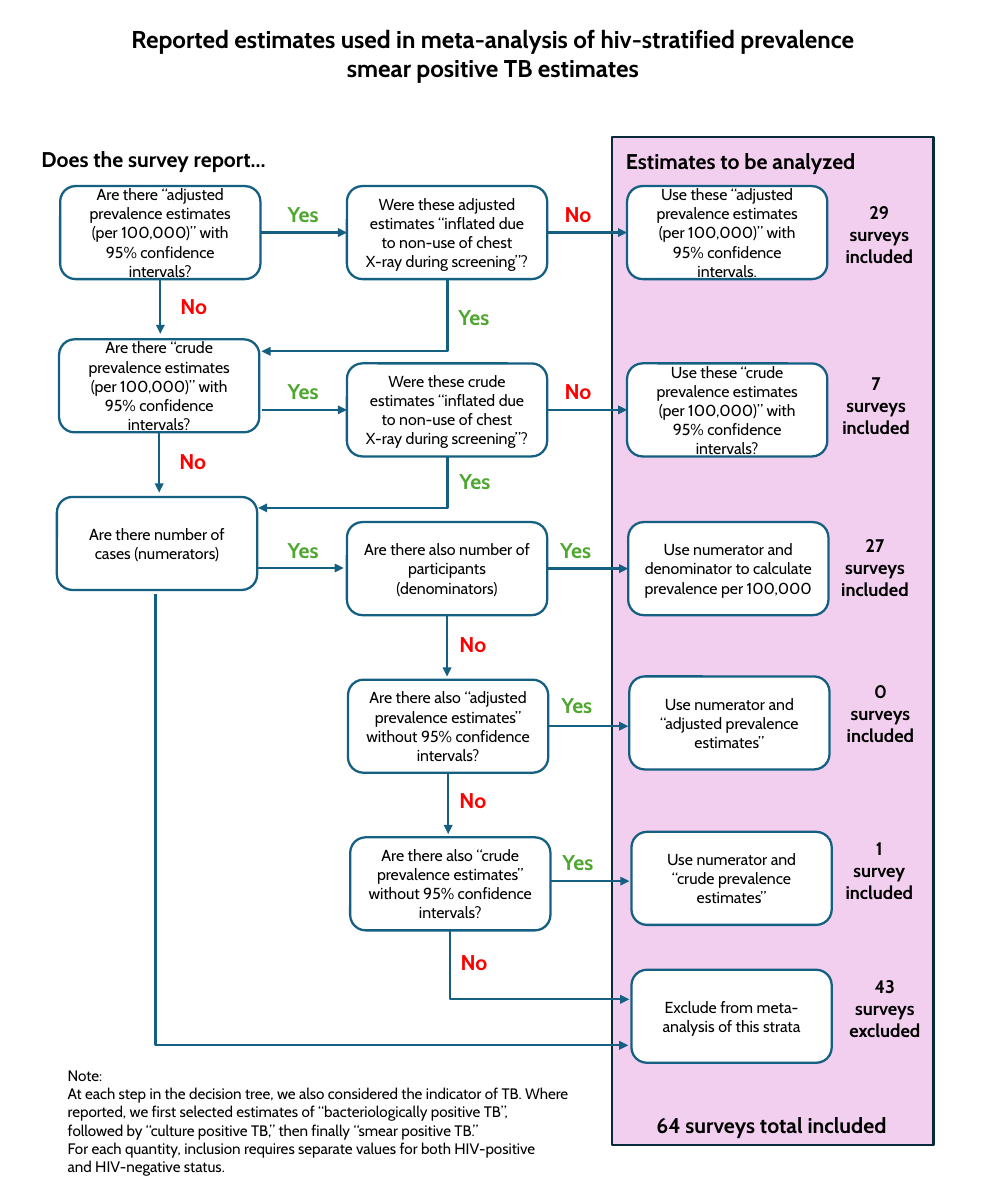
from lxml import etree
from pptx import Presentation
from pptx.dml.color import RGBColor
from pptx.enum import shapes, text
from pptx.oxml import ns
from pptx.util import Inches, Pt

FONT = "Cabin"
BLACK, WHITE, BLUE, NAVY, PINK = "000000", "FFFFFF", "156082", "092A39", "F2CFEE"
ANSWER_COLORS = {"Yes": "4EA72E", "No": "FF0000"}
ANSWER_WIDTHS = {"Yes": 0.55, "No": 0.49}
BOX_WIDTH, BOX_HEIGHT = 1.83, 0.85
TOP, LEFT, BOTTOM, RIGHT = range(4)
CENTER, START = text.PP_ALIGN.CENTER, text.PP_ALIGN.LEFT

PANEL = (5.59, 1.25, 2.94, 9.21)

# name: (left, top, wording)
BOXES = {
    "adjusted": (0.55, 1.7, "Are there “adjusted prevalence estimates (per 100,000)” with 95% confidence intervals?"),
    "adjusted inflated": (3.17, 1.7, "Were these adjusted estimates “inflated due to non-use of chest\vX-ray during screening”?"),
    "use adjusted": (5.73, 1.7, "Use these “adjusted prevalence estimates (per 100,000)” with 95% confidence intervals."),
    "crude": (0.54, 3.1, "Are there “crude prevalence estimates (per 100,000)” with 95% confidence intervals?"),
    "crude inflated": (3.17, 3.32, "Were these crude estimates “inflated due to non-use of chest\vX-ray during screening”?"),
    "use crude": (5.73, 3.32, "Use these “crude prevalence estimates (per 100,000)” with 95% confidence intervals?"),
    "numerators": (0.52, 4.54, "Are there number of cases (numerators)"),
    "denominators": (3.17, 4.77, "Are there also number of participants (denominators)"),
    "calculate": (5.74, 4.77, "Use numerator and denominator to calculate prevalence per 100,000"),
    "adjusted no interval": (3.18, 6.21, "Are there also “adjusted prevalence estimates” without 95% confidence intervals?"),
    "numerator adjusted": (5.75, 6.18, "Use numerator and\v“adjusted prevalence estimates”"),
    "crude no interval": (3.2, 7.65, "Are there also “crude prevalence estimates” without 95% confidence intervals?"),
    "numerator crude": (5.77, 7.6, "Use numerator and\v“crude prevalence estimates”"),
    "exclude": (5.77, 8.86, "Exclude from meta-analysis of this strata"),
}

# Each end is (box, side) or (x, y); None takes the value of the other end.
STRAIGHT_ARROWS = [
    (("adjusted", RIGHT), ("adjusted inflated", LEFT)),
    (("adjusted inflated", RIGHT), ("use adjusted", LEFT)),
    (("adjusted", BOTTOM), (None, 3.05)),
    ((2.39, None), ("crude inflated", LEFT)),
    (("crude inflated", RIGHT), ("use crude", LEFT)),
    (("crude", BOTTOM), (None, 4.5)),
    ((2.35, 5.19), (3.14, 5.19)),
    (("denominators", RIGHT), ("calculate", LEFT)),
    (("denominators", BOTTOM), (None, 6.18)),
    (("adjusted no interval", RIGHT), (5.74, None)),
    (("adjusted no interval", BOTTOM), (None, 7.62)),
    ((5.03, 8.05), (5.75, 8.05)),
]

# Down first, then sideways
ELBOW_ARROWS = [
    ((4.09, 2.55), (2.39, 3.21)),
    ((4.09, 4.17), (2.36, 4.64)),
    ((4.11, 8.5), (5.75, 9.13)),
    ((1.42, 5.43), (5.74, 9.55)),
]

ANSWERS = [
    ("Yes", 2.53, 1.79), ("No", 5.06, 1.79), ("No", 1.55, 2.63), ("Yes", 4.09, 2.73),
    ("Yes", 2.53, 3.41), ("No", 5.06, 3.41), ("No", 1.54, 4.05), ("Yes", 4.1, 4.23),
    ("Yes", 2.53, 4.86), ("Yes", 5.02, 4.86), ("No", 4.1, 5.72), ("Yes", 5.03, 6.28),
    ("No", 4.1, 7.14), ("Yes", 5.04, 7.71), ("No", 4.11, 8.62),
]

# (left, top, width, wording)
COUNTS = [
    (7.6, 1.79, 0.87, "29\nsurveys\vincluded"),
    (7.57, 3.35, 0.87, "7\nsurveys\vincluded"),
    (7.56, 4.83, 0.87, "27\nsurveys\vincluded"),
    (7.61, 6.17, 0.87, "0\nsurveys\vincluded"),
    (7.6, 7.6, 0.87, "1\nsurvey\vincluded"),
    (7.62, 8.86, 0.93, "43\nsurveys\vexcluded"),
]

# (place, wording, size, bold, alignment)
TEXTS = [
    ((0.49, 0.17, 8.03, 0.64), "Reported estimates used in meta-analysis of hiv-stratified prevalence\n"
     "smear positive TB estimates", 16, True, CENTER),
    ((0.28, 1.29, 2.37, 0.34), "Does the survey report…", 14, True, START),
    ((5.62, 1.31, 2.9, 0.34), "Estimates to be analyzed", 14, True, START),
    ((5.6, 10.11, 2.9, 0.34), "64 surveys total included", 14, True, CENTER),
    ((0.52, 9.69, 5.25, 1.11), "Note:\n"
     "At each step in the decision tree, we also considered the indicator of TB. Where reported, "
     "we first selected estimates of “bacteriologically positive TB”,\n"
     "followed by “culture positive TB,” then finally “smear positive TB.”\n"
     "For each quantity, inclusion requires separate values for both HIV-positive\n"
     "and HIV-negative status.", 10, False, START),
]


def color(hex_text):
    return RGBColor.from_string(hex_text)


def write(shape, wording, size, bold, alignment, hex_text=BLACK):
    shape.text_frame.text = wording
    for paragraph in shape.text_frame.paragraphs:
        paragraph.alignment = alignment
        for run in paragraph.runs:
            run.font.name, run.font.size, run.font.bold = FONT, Pt(size), bold
            run.font.color.rgb = color(hex_text)


def add_text(slide, place, wording, size, bold, alignment, hex_text=BLACK, wrap=True):
    box = slide.shapes.add_textbox(*map(Inches, place))
    write(box, wording, size, bold, alignment, hex_text)
    box.text_frame.word_wrap = wrap
    box.text_frame.auto_size = text.MSO_AUTO_SIZE.SHAPE_TO_FIT_TEXT


def add_panel(slide, kind, place, fill, line):
    shape = slide.shapes.add_shape(kind, *map(Inches, place))
    shape.shadow.inherit = False
    shape.fill.solid()
    shape.fill.fore_color.rgb = color(fill)
    shape.line.color.rgb = color(line)
    shape.line.width = Pt(1.5)
    return shape


def add_arrow(slide, kind, start, end):
    arrow = slide.shapes.add_connector(kind, *map(Inches, (*start, *end)))
    arrow.line.color.rgb = color(BLUE)
    arrow.line.width = Pt(1.5)
    etree.SubElement(arrow.line._get_or_add_ln(), ns.qn("a:tailEnd"), type="triangle")
    properties = arrow._element.spPr
    etree.SubElement(properties, ns.qn("a:effectLst"))
    if kind == shapes.MSO_CONNECTOR.ELBOW:
        guides = properties.find(ns.qn("a:prstGeom")).get_or_add_avLst()
        etree.SubElement(guides, ns.qn("a:gd"), name="adj1", fmla="val 0")
    return arrow


def locate(end):
    """Turn a (box, side) end into a point; leave a point as it is."""
    if end[0] not in BOXES:
        return end
    left, top, _ = BOXES[end[0]]
    across, down = {TOP: (0.5, 0), LEFT: (0, 0.5), BOTTOM: (0.5, 1), RIGHT: (1, 0.5)}[end[1]]
    return left + across * BOX_WIDTH, top + down * BOX_HEIGHT


def fill_gaps(point, other):
    return [b if a is None else a for a, b in zip(point, other)]


def main():
    presentation = Presentation()
    presentation.slide_width, presentation.slide_height = Inches(9), Inches(11)
    slide = presentation.slides.add_slide(presentation.slide_layouts[6])

    add_panel(slide, shapes.MSO_SHAPE.RECTANGLE, PANEL, PINK, NAVY)
    drawn = {}
    for name, (left, top, wording) in BOXES.items():
        place = (left, top, BOX_WIDTH, BOX_HEIGHT)
        box = drawn[name] = add_panel(slide, shapes.MSO_SHAPE.ROUNDED_RECTANGLE, place, WHITE, BLUE)
        write(box, wording, 10.5, False, CENTER)
        box.text_frame.word_wrap = True
        box.text_frame.vertical_anchor = text.MSO_ANCHOR.MIDDLE

    for start, end in STRAIGHT_ARROWS:
        first, last = locate(start), locate(end)
        arrow = add_arrow(slide, shapes.MSO_CONNECTOR.STRAIGHT,
                          fill_gaps(first, last), fill_gaps(last, first))
        if start[0] in drawn:
            arrow.begin_connect(drawn[start[0]], start[1])
        if end[0] in drawn:
            arrow.end_connect(drawn[end[0]], end[1])
    for start, end in ELBOW_ARROWS:
        add_arrow(slide, shapes.MSO_CONNECTOR.ELBOW, start, end)

    for answer, left, top in ANSWERS:
        add_text(slide, (left, top, ANSWER_WIDTHS[answer], 0.34), answer, 14, True, START,
                 ANSWER_COLORS[answer], wrap=False)
    for left, top, width, wording in COUNTS:
        add_text(slide, (left, top, width, 0.71), wording, 12, True, CENTER, wrap=False)
    for item in TEXTS:
        add_text(slide, *item)

    presentation.save("out.pptx")


if __name__ == "__main__":
    main()
